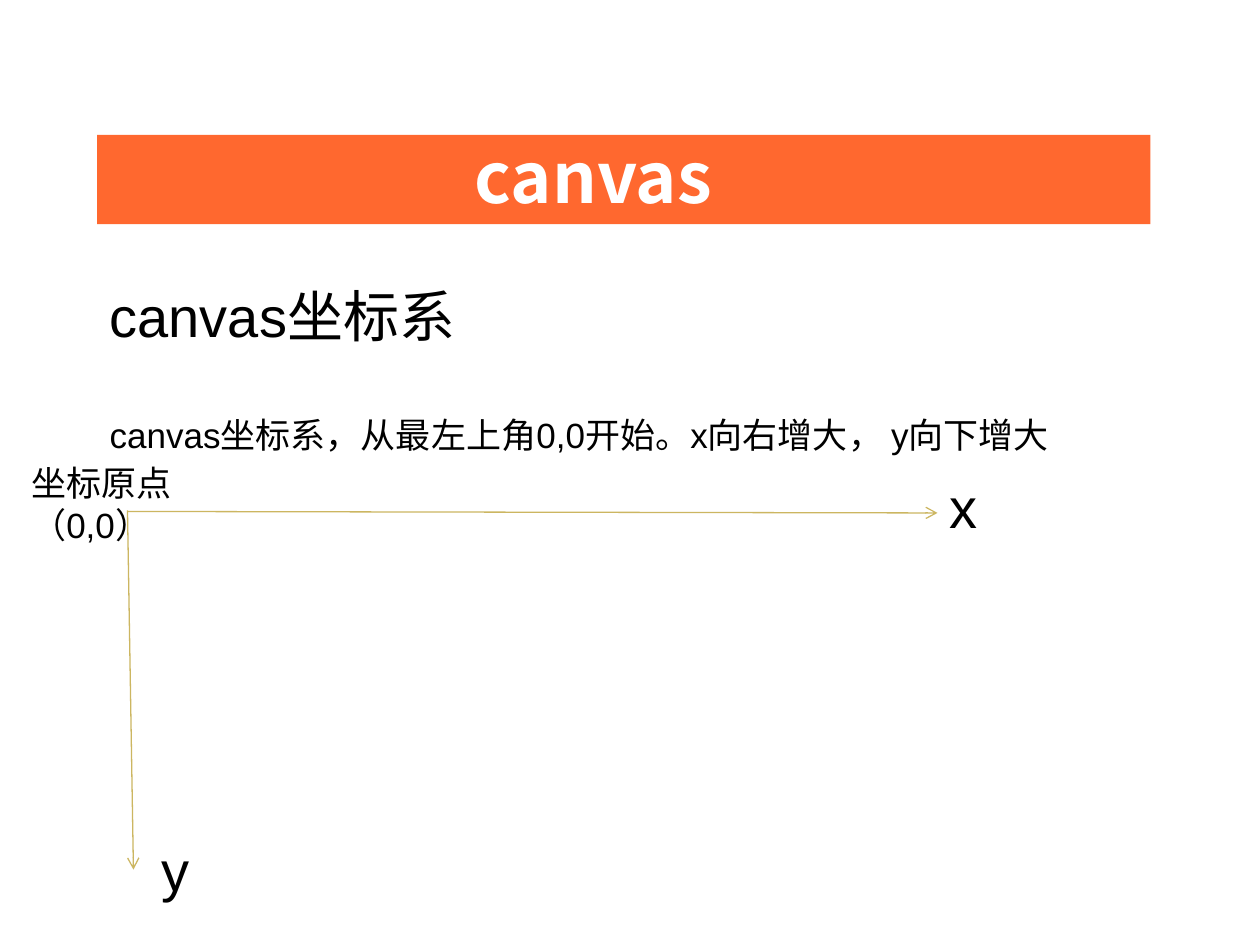
"""Build a slide that explains the canvas coordinate system."""
from dataclasses import dataclass

from lxml import etree
from pptx import Presentation
from pptx.dml.color import RGBColor
from pptx.enum.shapes import MSO_CONNECTOR, MSO_SHAPE
from pptx.enum.text import MSO_ANCHOR, MSO_AUTO_SIZE, PP_ALIGN
from pptx.oxml.ns import qn
from pptx.util import Cm, Pt

STRAIGHT = MSO_CONNECTOR.STRAIGHT
RECTANGLE = MSO_SHAPE.RECTANGLE
TOP = MSO_ANCHOR.TOP
GROW = MSO_AUTO_SIZE.SHAPE_TO_FIT_TEXT
LEFT, CENTER = PP_ALIGN.LEFT, PP_ALIGN.CENTER
LATIN, CJK = "Arial", "Noto Sans CJK SC"
ORANGE, GOLD, BLACK, WHITE = "FF682F", "CCB661", "000000", "FFFFFF"
TITLE_ONLY = 5


@dataclass
class Line:
    text: str
    size: int
    font: str = LATIN
    color: str = BLACK
    bold: bool = False
    align: int = LEFT
    space_before: int = 0


@dataclass
class Label:
    box: tuple[float, float, float, float]
    lines: list[Line]
    wrap: bool = True


@dataclass
class Axis:
    start: tuple[float, float]
    end: tuple[float, float]


LABELS = [
    Label((1.96, 5.56, 21.26, 3.84), [
        Line("canvas坐标系", 32),
        Line("canvas坐标系,从最左上角0,0开始。x向右增大, y向下增大".replace(",从", "，从").replace("大,", "大，"),
             20, space_before=37),
    ]),
    Label((18.9, 9.4, 1.07, 1.63), [Line("x", 32)], wrap=False),
    Label((3, 16.71, 1.07, 1.63), [Line("y", 32)], wrap=False),
    Label((0.38, 9.17, 5.72, 1.12), [Line("坐标原点\v（0,0）", 20)]),
]
AXES = [
    Axis((2.57, 10.31), (18.9, 10.34)),
    Axis((2.57, 10.29), (2.69, 17.53)),
]


def rgb(color: str) -> RGBColor:
    """Return the colour for a hex string."""
    return RGBColor.from_string(color)


def apply(target, values: dict) -> None:
    """Set each format value on the target."""
    for name, value in values.items():
        setattr(target, name, value)


def place(shape, box: tuple[float, float, float, float]) -> None:
    """Move and size a shape in centimetres."""
    apply(shape, dict(zip(("left", "top", "width", "height"), map(Cm, box))))


def write(shape, lines: list[Line], wrap: bool = True) -> None:
    """Fill a shape with formatted paragraphs."""
    frame = shape.text_frame
    apply(frame, {"word_wrap": wrap, "auto_size": GROW, "vertical_anchor": TOP})
    for index, line in enumerate(lines):
        paragraph = frame.add_paragraph() if index else frame.paragraphs[0]
        paragraph.text = line.text
        apply(paragraph, {"alignment": line.align, "space_before": Pt(line.space_before)})
        for run in paragraph.runs:
            apply(run.font, {"name": line.font, "size": Pt(line.size), "bold": line.bold})
            run.font.color.rgb = rgb(line.color)
            east_asian = etree.SubElement(run.font._element, qn("a:ea"))
            east_asian.set("typeface", CJK)


def draw_label(slide, label: Label) -> None:
    """Add a text box."""
    box = slide.shapes.add_textbox(*map(Cm, label.box))
    write(box, label.lines, label.wrap)


def draw_axis(slide, axis: Axis) -> None:
    """Add an axis with an open arrowhead."""
    arrow = slide.shapes.add_connector(STRAIGHT, *map(Cm, axis.start + axis.end))
    arrow.line.color.rgb = rgb(GOLD)
    arrow.line.width = Pt(0.75)
    properties = arrow._element.spPr
    head = etree.SubElement(properties.find(qn("a:ln")), qn("a:tailEnd"))
    head.set("type", "arrow")
    etree.SubElement(properties, qn("a:effectLst"))


def draw_heading(slide) -> None:
    """Add the orange banner and set the title on top of it."""
    banner = slide.shapes.add_shape(RECTANGLE, *map(Cm, (1.96, 2.72, 21.23, 1.8)))
    banner.shadow.inherit = False
    banner.fill.solid()
    banner.fill.fore_color.rgb = rgb(ORANGE)
    banner.line.fill.background()
    title = slide.shapes.title
    place(title, (2.36, 2.57, 19.2, 1.96))
    write(title, [Line("canvas", 40, CJK, WHITE, True, CENTER)])
    banner._element.addnext(title._element)


def main() -> None:
    """Build and save the slide."""
    deck = Presentation()
    apply(deck, {"slide_width": Cm(25.4), "slide_height": Cm(19.05)})
    slide = deck.slides.add_slide(deck.slide_layouts[TITLE_ONLY])
    draw_heading(slide)
    body, *axis_labels = LABELS
    draw_label(slide, body)
    for axis in AXES:
        draw_axis(slide, axis)
    for label in axis_labels:
        draw_label(slide, label)
    deck.save("out.pptx")


main()
